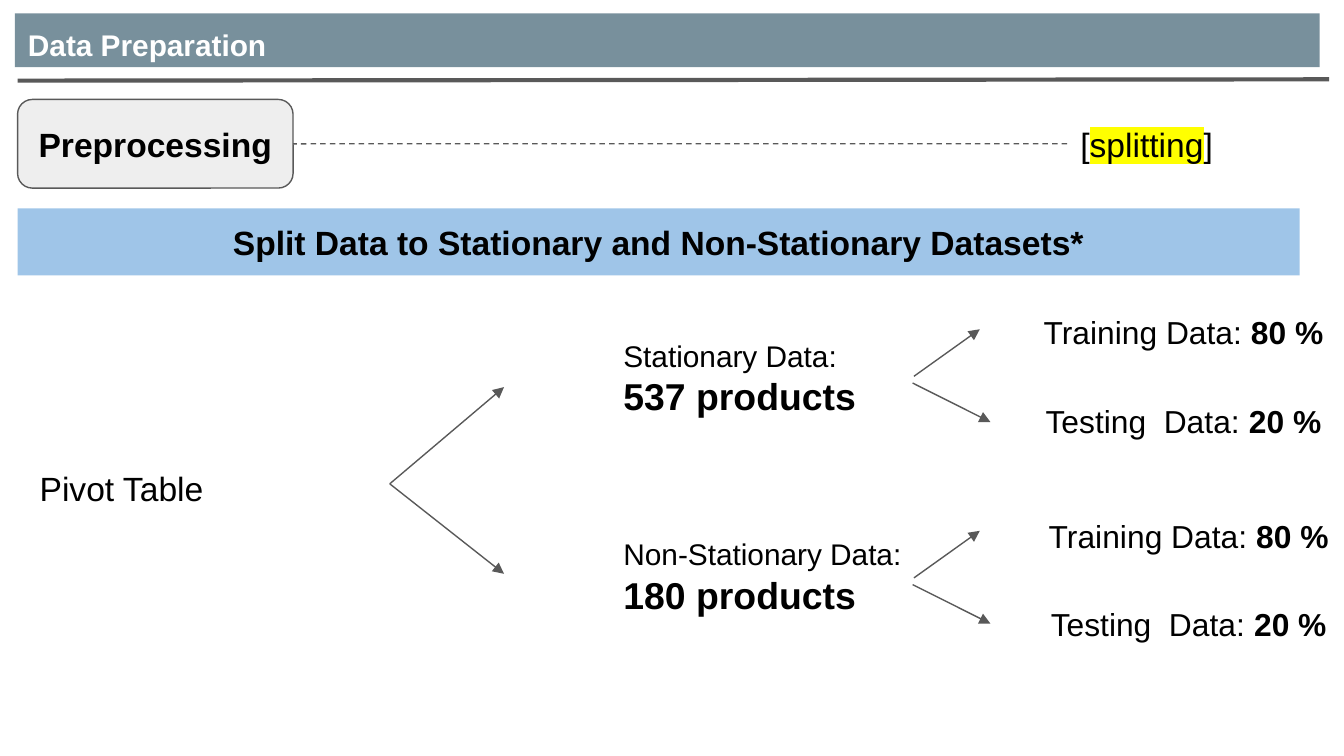
from lxml.etree import SubElement
from pptx import Presentation
from pptx.dml.color import RGBColor
from pptx.enum.dml import MSO_LINE
from pptx.enum.shapes import MSO_CONNECTOR, MSO_SHAPE
from pptx.enum.text import MSO_ANCHOR, MSO_AUTO_SIZE, PP_ALIGN
from pptx.oxml import parse_xml
from pptx.oxml.ns import nsdecls, qn
from pptx.util import Pt

BLACK = RGBColor(0x00, 0x00, 0x00)
WHITE = RGBColor(0xFF, 0xFF, 0xFF)
SLATE = RGBColor(0x78, 0x90, 0x9C)
GRAY = RGBColor(0x59, 0x59, 0x59)
LIGHT_GRAY = RGBColor(0xEE, 0xEE, 0xEE)
BLUE = RGBColor(0x9F, 0xC5, 0xE8)
YELLOW = RGBColor(0xFF, 0xFF, 0x00)

LEFT = 9.4
BRANCH_STEP = 108


def style(size, bold=False, color=BLACK):
    return {"name": "Arial", "size": Pt(size), "bold": bold, "color": color}


def set_font(font, values):
    for name, value in values.items():
        if name == "color":
            font.color.rgb = value
        else:
            setattr(font, name, value)


def highlight(run, color):
    """Mark a run whose font colour is already set."""
    fill = run.font._element.find(qn("a:solidFill"))
    fill.addnext(parse_xml(
        f'<a:highlight {nsdecls("a")}><a:srgbClr val="{color}"/></a:highlight>'))


def write(shape, paragraphs, align=PP_ALIGN.LEFT, anchor=MSO_ANCHOR.TOP,
          auto_size=MSO_AUTO_SIZE.NONE):
    """Fill a shape with paragraphs, each a list of (text, style) runs."""
    frame = shape.text_frame
    settings = {"word_wrap": True, "auto_size": auto_size, "vertical_anchor": anchor,
                "margin_left": Pt(7.2), "margin_right": Pt(7.2),
                "margin_top": Pt(7.2), "margin_bottom": Pt(7.2)}
    for name, value in settings.items():
        setattr(frame, name, value)
    for index, runs in enumerate(paragraphs):
        paragraph = frame.add_paragraph() if index else frame.paragraphs[0]
        paragraph.alignment = align
        for text, values in runs:
            run = paragraph.add_run()
            run.text = text
            set_font(run.font, values)


def add_box(slide, kind, bounds, fill, line=None):
    shape = slide.shapes.add_shape(kind, *map(Pt, bounds))
    shape.shadow.inherit = False
    shape.fill.solid()
    shape.fill.fore_color.rgb = fill
    if line is None:
        shape.line.fill.background()
    else:
        shape.line.color.rgb = line
        shape.line.width = Pt(0.75)
    return shape


def add_label(slide, bounds, paragraphs, align=PP_ALIGN.LEFT):
    label = slide.shapes.add_textbox(*map(Pt, bounds))
    write(label, paragraphs, align, auto_size=MSO_AUTO_SIZE.SHAPE_TO_FIT_TEXT)
    return label


def add_line(slide, start, end, width=0.75):
    line = slide.shapes.add_connector(
        MSO_CONNECTOR.STRAIGHT, *map(Pt, (*start, *end)))
    line.line.color.rgb = GRAY
    line.line.width = Pt(width)
    SubElement(line._element.spPr, qn("a:effectLst"))
    return line


def add_arrow(slide, start, end):
    arrow = add_line(slide, start, end)
    SubElement(arrow.line._get_or_add_ln(), qn("a:tailEnd"), type="triangle")


def add_header(slide):
    header = add_box(slide, MSO_SHAPE.RECTANGLE, (7.9, 7.2, 699, 28.8), SLATE)
    write(header, [[("Data Preparation", style(16, True, WHITE))]])
    add_line(slide, (LEFT, 43.2), (712, 42.5), 2.25)


def add_step(slide):
    step = add_box(slide, MSO_SHAPE.ROUNDED_RECTANGLE, (LEFT, 53.3, 147.6, 47.5),
                   LIGHT_GRAY, GRAY)
    write(step, [[("Preprocessing", style(18, True))]], PP_ALIGN.CENTER,
          MSO_ANCHOR.MIDDLE)
    label = add_label(slide, (571.7, 59, 131, 36), [
        [(text, style(18)) for text in ("[", "splitting", "]")]])
    highlight(label.text_frame.paragraphs[0].runs[1], YELLOW)
    link = add_line(slide, (571.7, 77), (157, 77))
    link.line.dash_style = MSO_LINE.DASH
    link.begin_connect(label, 1)
    link.end_connect(step, 3)


def add_banner(slide):
    banner = add_box(slide, MSO_SHAPE.RECTANGLE, (LEFT, 111.6, 686.9, 36), BLUE)
    title = "Split Data to Stationary and Non-Stationary Datasets*"
    write(banner, [[(title, style(18, True))]], PP_ALIGN.CENTER)


def add_branch(slide, name, count, data_top, fork_shift, split_left, split_top):
    """Add one dataset with its fork into training and testing data."""
    add_label(slide, (326.9, data_top, 214.6, 58.3),
              [[(name, style(16))], [(count, style(20, True))]])
    add_arrow(slide, (489.6, 201.6 + fork_shift), (524.9, 176.4 + fork_shift))
    add_arrow(slide, (488.9, 205.2 + fork_shift), (530.6, 226.1 + fork_shift))
    splits = (("Training Data: ", "80 %"), ("Testing  Data: ", "20 %"))
    for index, (part, share) in enumerate(splits):
        add_label(slide, (split_left, split_top + index * 47.2, 169.2, 35.3),
                  [[(part, style(17)), (share, style(17, True))]], PP_ALIGN.CENTER)


def main():
    presentation = Presentation()
    presentation.slide_width = Pt(720)
    presentation.slide_height = Pt(405)
    slide = presentation.slides.add_slide(presentation.slide_layouts[6])

    add_header(slide)
    add_step(slide)
    add_banner(slide)
    add_label(slide, (LEFT, 243.4, 106.6, 36), [[("Pivot Table", style(18))]],
              PP_ALIGN.RIGHT)
    for tip_y in (207.4, 307.4):
        add_arrow(slide, (208.8, 259.2), (270, tip_y))
    add_branch(slide, "Stationary Data:", "537 products", 173.5, 0, 549.4, 160.6)
    add_branch(slide, "Non-Stationary Data:", "180 products", 280, BRANCH_STEP,
               552.2, 269.8)

    presentation.save("out.pptx")


if __name__ == "__main__":
    main()
